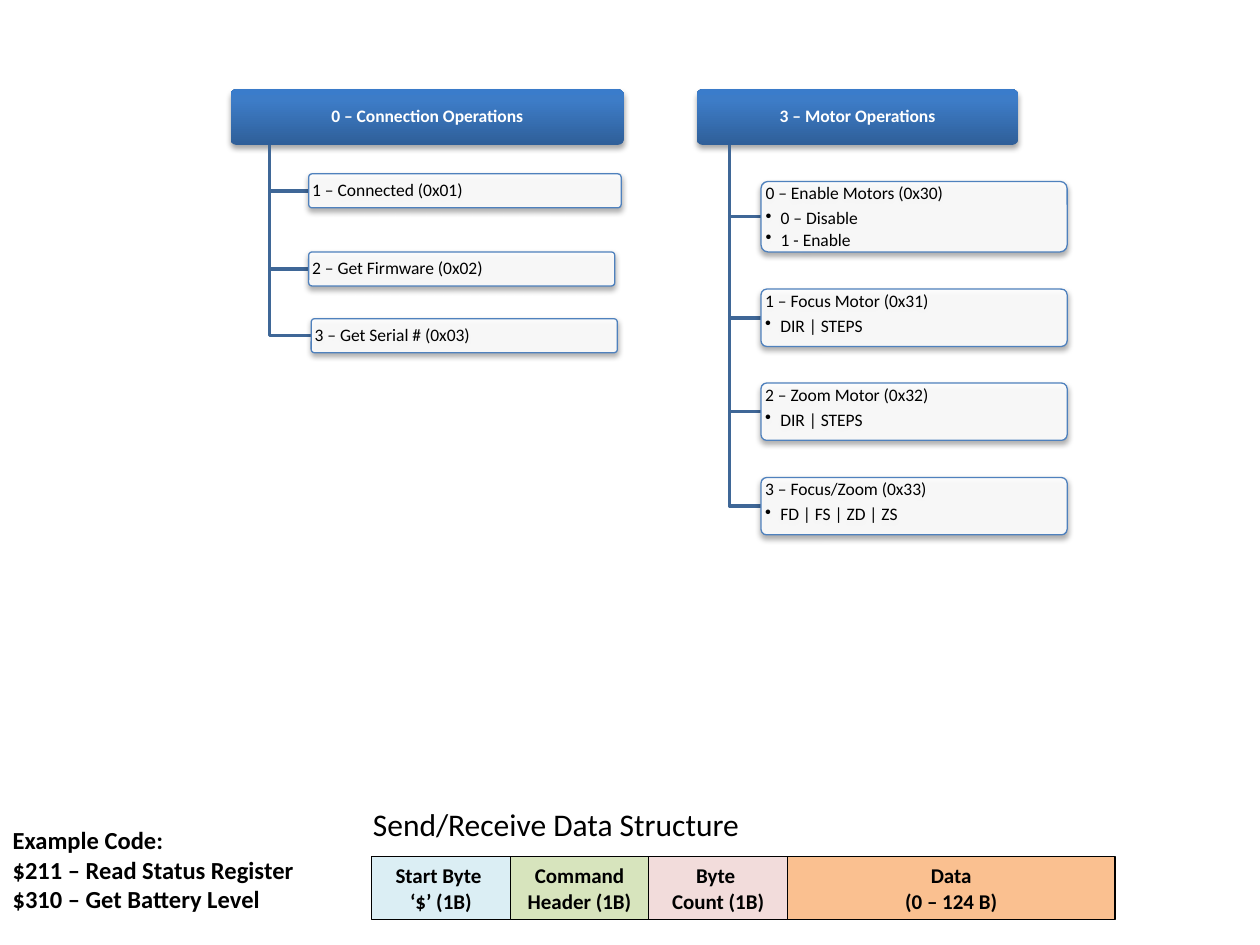
from pptx import Presentation
from pptx.dml.color import RGBColor
from pptx.enum.shapes import MSO_SHAPE as Shape
from pptx.enum.text import MSO_ANCHOR as Anchor, MSO_AUTO_SIZE as AutoSize, PP_ALIGN as Align
from pptx.oxml import parse_xml
from pptx.oxml.ns import nsdecls, qn
from pptx.util import Inches, Pt
from lxml.etree import SubElement


def rgb(value):
    return RGBColor.from_string(value)


class Diagram:
    COLS, ROWS = 100, 75
    FONT = "Calibri"
    EDGE, LINK = "4F81BD", "3F6797"
    GRADIENT = [(0, "2F5F99"), (80, "3D7CC7"), (100, "3A7CCB")]

    def __init__(self, prs):
        self.prs = prs
        self.s = prs.slides.add_slide(prs.slide_layouts[1])

    def x(self, cols):
        return round(self.prs.slide_width * cols / self.COLS)

    def y(self, rows):
        return round(self.prs.slide_height * rows / self.ROWS)

    def box(self, left, top, width, height):
        return self.x(left), self.y(top), self.x(width), self.y(height)

    def set_lines(self, tf, lines, size, color="000000", bold=False, align=Align.LEFT):
        for i, line in enumerate(lines):
            p = tf.paragraphs[0] if i == 0 else tf.add_paragraph()
            p.text = line
            p.alignment = align
            p.space_before = Pt(0)
            p.font.name, p.font.size, p.font.bold = self.FONT, Pt(size), bold
            p.font.color.rgb = rgb(color)

    def insets(self, tf, side, edge):
        tf.word_wrap = True
        tf.margin_left = tf.margin_right = Inches(side)
        tf.margin_top = tf.margin_bottom = Inches(edge)

    def placeholder(self, index, box, lines, size, bold=False, wrap=True):
        sp = self.s.placeholders[index]
        sp.left, sp.top, sp.width, sp.height = self.box(*box)
        tf = sp.text_frame
        tf.auto_size, tf.word_wrap, tf.vertical_anchor = AutoSize.NONE, wrap, Anchor.TOP
        self.set_lines(tf, lines, size, bold=bold)
        for p in tf.paragraphs:
            pPr = p._p.get_or_add_pPr()
            pPr.set("marL", "0")
            pPr.set("indent", "0")
            pPr.find(qn("a:defRPr")).addprevious(parse_xml(f'<a:buNone {nsdecls("a")}/>'))

    def card(self, box, lines, color, bold, align):
        sp = self.s.shapes.add_shape(Shape.ROUNDED_RECTANGLE, *self.box(*box))
        sp.adjustments[0] = 0.1
        sp.shadow.inherit = False
        effects = sp._element.spPr.find(qn("a:effectLst"))
        effects.append(parse_xml(
            f'<a:outerShdw {nsdecls("a")} blurRad="{Pt(3.1)}" dist="{Pt(1.8)}" dir="5400000" '
            'rotWithShape="0"><a:srgbClr val="000000"><a:alpha val="35000"/></a:srgbClr></a:outerShdw>'))
        tf = sp.text_frame
        self.insets(tf, 0.02, 0.01)
        self.set_lines(tf, lines, 10, color, bold, align)
        for i, p in enumerate(tf.paragraphs):
            p.line_spacing = 0.9
            p.space_after = Pt(1.5 if i else 3.5)
            if i:
                p.level = 1
                pPr = p._p.get_or_add_pPr()
                pPr.set("marL", str(Inches(0.12)))
                pPr.set("indent", str(Inches(-0.12)))
                pPr.find(qn("a:defRPr")).addprevious(
                    parse_xml(f'<a:buChar {nsdecls("a")} char="•"/>'))
        tf.vertical_anchor = Anchor.TOP if len(lines) > 1 else Anchor.MIDDLE
        return sp

    def header(self, box, text):
        sp = self.card(box, [text], "FFFFFF", True, Align.CENTER)
        sp.line.fill.background()
        stops = "".join(f'<a:gs pos="{pos * 1000}"><a:srgbClr val="{c}"/></a:gs>'
                        for pos, c in self.GRADIENT)
        sp._element.spPr.find(qn("a:prstGeom")).addnext(parse_xml(
            f'<a:gradFill {nsdecls("a")} rotWithShape="1"><a:gsLst>{stops}</a:gsLst>'
            '<a:lin ang="16200000" scaled="0"/></a:gradFill>'))

    def node(self, box, lines):
        sp = self.card(box, lines, "000000", False, Align.LEFT)
        sp.fill.solid()
        sp.fill.fore_color.rgb = rgb("FFFFFF")
        color = sp._element.spPr.find(qn("a:solidFill"))[0]
        SubElement(color, qn("a:alpha"), val="90000")
        sp.line.color.rgb = rgb(self.EDGE)
        sp.line.width = Pt(0.75)

    def elbow(self, trunk, top, left, middle):
        fb = self.s.shapes.build_freeform(self.x(trunk), self.y(top))
        fb.add_line_segments([(self.x(trunk), self.y(middle)),
                              (self.x(left), self.y(middle))], close=False)
        sp = fb.convert_to_shape()
        sp.shadow.inherit = False
        sp.fill.background()
        sp.line.color.rgb = rgb(self.LINK)
        sp.line.width = Pt(2)

    def tree(self, left, width, trunk, title, nodes):
        top, height = 7.1, 4.4
        self.header((left, top, width, height), title)
        for box, lines in nodes:
            self.elbow(trunk, top + height, box[0], box[1] + box[3] / 2)
            self.node(box, lines)

    def field(self, box, lines, fill):
        sp = self.s.shapes.add_shape(Shape.RECTANGLE, *self.box(*box))
        sp.shadow.inherit = False
        sp.fill.solid()
        sp.fill.fore_color.rgb = rgb(fill)
        sp.line.color.rgb = rgb("000000")
        sp.line.width = Pt(0.75)
        tf = sp.text_frame
        self.insets(tf, 0, 0.05)
        tf.vertical_anchor = Anchor.TOP
        self.set_lines(tf, lines, 12, bold=True, align=Align.CENTER)


prs = Presentation()
prs.slide_width, prs.slide_height = Inches(10), Inches(7.5)
d = Diagram(prs)

d.tree(18.3, 31.2, 21.4, "0 – Connection Operations", [
    ((24.5, 13.8, 24.8, 2.7), ["1 – Connected (0x01)"]),
    ((24.5, 20, 24.3, 2.7), ["2 – Get Firmware (0x02)"]),
    ((24.7, 25.3, 24.3, 2.7), ["3 – Get Serial # (0x03)"]),
])
d.tree(55.3, 25.5, 57.9, "3 – Motor Operations", [
    ((60.4, 14.4, 24.3, 5.6), ["0 – Enable Motors (0x30)", "0 – Disable", "1 - Enable"]),
    ((60.4, 22.95, 24.3, 4.55), ["1 – Focus Motor (0x31)", "DIR | STEPS"]),
    ((60.4, 30.4, 24.3, 4.55), ["2 – Zoom Motor (0x32)", "DIR | STEPS"]),
    ((60.4, 37.9, 24.3, 4.55), ["3 – Focus/Zoom (0x33)", "FD | FS | ZD | ZS"]),
])

d.placeholder(1, (0, 65, 24.5, 8.1), [
    "Example Code:", "$211 – Read Status Register", "$310 – Get Battery Level"], 14, bold=True)
d.placeholder(0, (28.6, 63.4, 31.4, 4), ["Send/Receive Data Structure"], 18, wrap=False)

left = 29.5
for width, lines, fill in [
    (11, ["Start Byte ", "‘$’ (1B)"], "DBEEF4"),
    (11, ["Command Header (1B)"], "D7E4BD"),
    (11, ["Byte ", "Count (1B)"], "F2DCDB"),
    (26, ["Data", "(0 – 124 B)"], "FAC090"),
]:
    d.field((left, 68, width, 5), lines, fill)
    left += width

prs.save("out.pptx")
